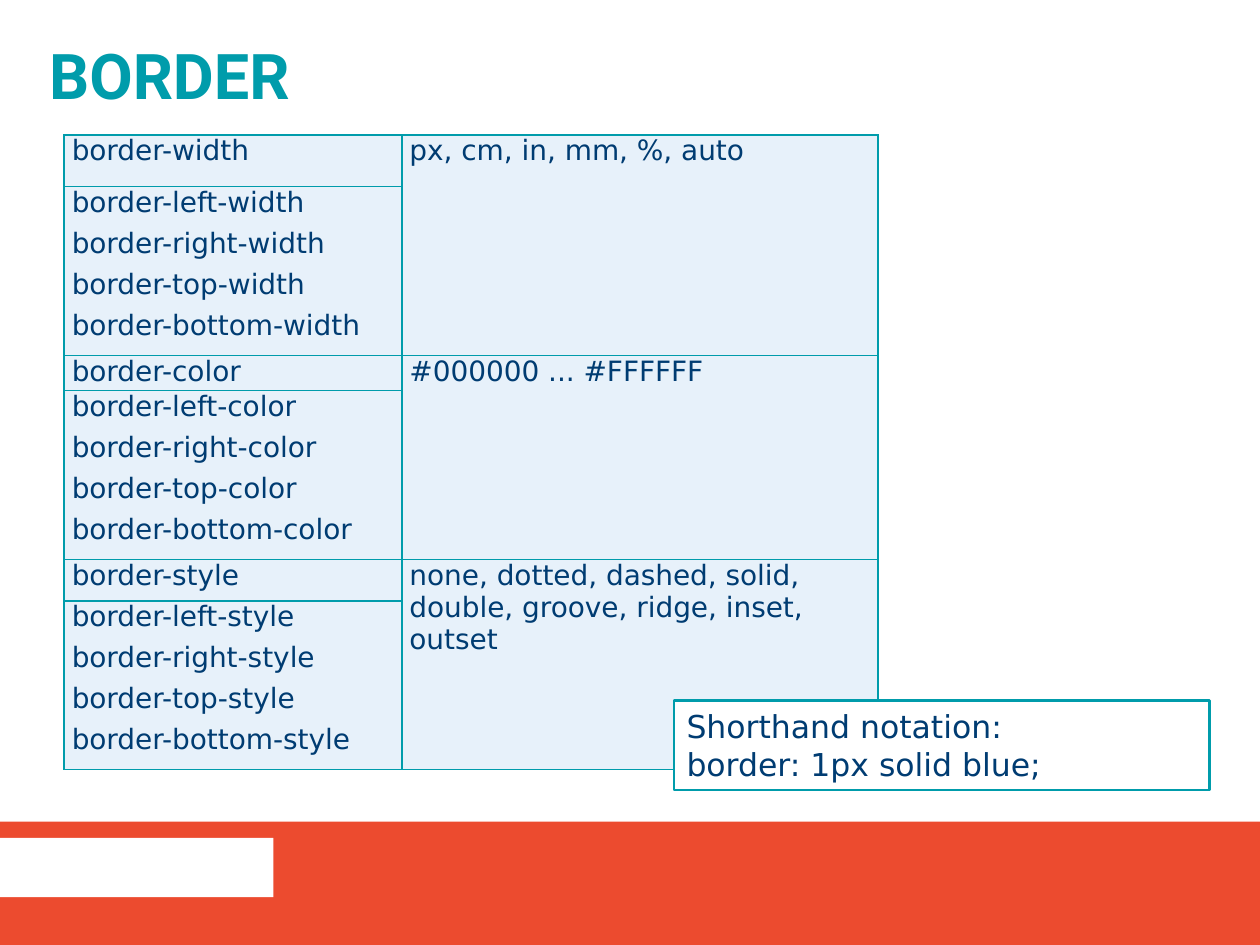
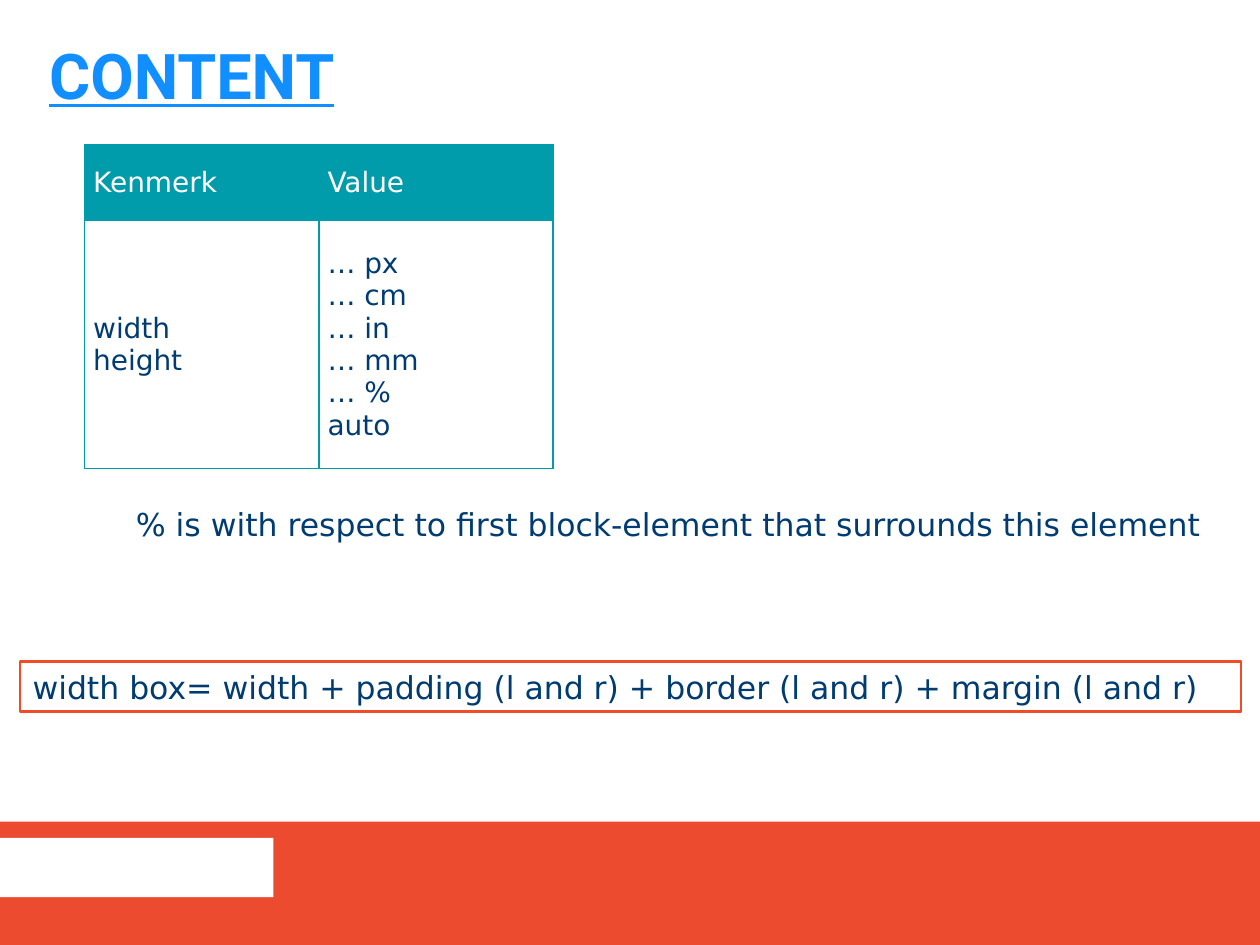
from dataclasses import dataclass

from lxml import etree
from pptx import Presentation
from pptx import util as u
from pptx.dml.color import RGBColor
from pptx.enum import shapes, text
from pptx.oxml.ns import qn


@dataclass(frozen=True)
class Theme:
    teal: str = "009CAB"
    navy: str = "003C72"
    orange: str = "EC4B2F"
    frame_orange: str = "F04C25"
    link_blue: str = "118EFF"
    pale_blue: str = "E7F1FA"
    white: str = "FFFFFF"
    title_font: str = "Roboto"
    body_font: str = "DejaVu Sans"
    title_size: int = 36
    note_size: int = 18
    table_size: int = 16


THEME = Theme()
SLIDE_WIDTH, SLIDE_HEIGHT = 10, 7.5
BORDER_SIDES = ("a:lnL", "a:lnR", "a:lnT", "a:lnB")


def write_text(frame, lines, size=THEME.note_size, color=THEME.navy,
               font=THEME.body_font, bold=False, underline=False, before=0,
               spacing=None, anchor=text.MSO_ANCHOR.TOP, wrap=True):
    frame.word_wrap = wrap
    frame.vertical_anchor = anchor
    for index, line in enumerate(lines):
        para = frame.paragraphs[0] if index == 0 else frame.add_paragraph()
        para.alignment = text.PP_ALIGN.LEFT
        para.space_before = u.Pt(before)
        if spacing:
            para.line_spacing = spacing
        span = para.add_run()
        span.text = line
        span.font.name = font
        span.font.size = u.Pt(size)
        span.font.bold = bold
        span.font.underline = underline
        span.font.color.rgb = RGBColor.from_string(color)


def set_margins(holder, sides):
    (holder.margin_left, holder.margin_top,
     holder.margin_right, holder.margin_bottom) = map(u.Inches, sides)


def add_rectangle(page, box, fill=None, line=None):
    shape = page.shapes.add_shape(shapes.MSO_SHAPE.RECTANGLE, *map(u.Inches, box))
    shape.shadow.inherit = False
    if fill:
        shape.fill.solid()
        shape.fill.fore_color.rgb = RGBColor.from_string(fill)
    else:
        shape.fill.background()
    if line:
        shape.line.color.rgb = RGBColor.from_string(line)
        shape.line.width = u.Pt(1.5)
    else:
        shape.line.fill.background()
    return shape


def add_footer(page, box):
    left, top, width, height = box
    add_rectangle(page, box, fill=THEME.orange)
    add_rectangle(page, (left, top + 0.13, 2.17, 0.47), fill=THEME.white)


def add_title(page, box, title, **style):
    frame = page.shapes.add_textbox(*map(u.Inches, box)).text_frame
    set_margins(frame, (0.39, 0.2, 0.39, 0.16))
    write_text(frame, [title], size=THEME.title_size, font=THEME.title_font,
               bold=True, spacing=0.8, anchor=text.MSO_ANCHOR.MIDDLE, **style)


def add_framed_note(page, box, lines, line, fill=None):
    shape = add_rectangle(page, box, fill=fill, line=line)
    write_text(shape.text_frame, lines)


def set_borders(cell):
    properties = cell._tc.get_or_add_tcPr()
    for index, side in enumerate(BORDER_SIDES):
        border = etree.Element(qn(side), w=str(u.Pt(1)))
        fill = etree.SubElement(border, qn("a:solidFill"))
        etree.SubElement(fill, qn("a:srgbClr"), val=THEME.teal)
        properties.insert(index, border)


def add_grid(page, box, column_widths, row_heights):
    frame = page.shapes.add_table(len(row_heights), len(column_widths),
                                  *map(u.Inches, box))
    table = frame.table
    table.first_row = table.horz_banding = False
    for column, width in zip(table.columns, column_widths):
        column.width = u.Inches(width)
    for row, height in zip(table.rows, row_heights):
        row.height = u.Inches(height)
    for cell in table.iter_cells():
        set_borders(cell)
    return table


def fill_cell(cell, lines, margins, fill=None, **style):
    if fill:
        cell.fill.solid()
        cell.fill.fore_color.rgb = RGBColor.from_string(fill)
    else:
        cell.fill.background()
    set_margins(cell, margins)
    anchor = style.pop("anchor", text.MSO_ANCHOR.TOP)
    write_text(cell.text_frame, lines, size=THEME.table_size, **style)
    cell.text_frame._txBody.bodyPr.attrib.clear()
    cell.vertical_anchor = anchor


def add_border_table(page, box):
    groups = [
        ("width", 0.41, "px, cm, in, mm, %, auto"),
        ("color", 0.28, "#000000 ... #FFFFFF"),
        ("style", 0.33, "none, dotted, dashed, solid, double, groove, "
                        "ridge, inset, outset"),
    ]
    heights = [height for _, first, _ in groups for height in (first, 1.34)]
    table = add_grid(page, box, (2.68, 3.78), heights)
    style = dict(margins=(0.06, 0, 0.06, 0), fill=THEME.pale_blue, before=5)
    for index, (feature, _, values) in enumerate(groups):
        top = 2 * index
        sides = [f"border-{side}-{feature}"
                 for side in ("left", "right", "top", "bottom")]
        table.cell(top, 1).merge(table.cell(top + 1, 1))
        fill_cell(table.cell(top, 0), [f"border-{feature}"], **style)
        fill_cell(table.cell(top + 1, 0), sides, **style)
        fill_cell(table.cell(top, 1), [values], **style)


def add_size_table(page, box):
    table = add_grid(page, box, (1.86, 1.86), (0.6, 1.97))
    units = [f"… {unit}" for unit in ("px", "cm", "in", "mm", "%")]
    rows = [
        ([["Kenmerk"], ["Value"]], THEME.teal, THEME.white),
        ([["width", "height"], units + ["auto"]], None, THEME.navy),
    ]
    for row, (contents, fill, color) in enumerate(rows):
        for column, lines in enumerate(contents):
            fill_cell(table.cell(row, column), lines, (0.07, 0.04, 0.07, 0.04),
                      fill=fill, color=color, anchor=text.MSO_ANCHOR.MIDDLE)


def add_page(deck, title, **title_style):
    page = deck.slides.add_slide(deck.slide_layouts[6])
    add_footer(page, (0, 6.52, SLIDE_WIDTH, 0.98))
    add_title(page, (0, 0, SLIDE_WIDTH, 1.25), title, **title_style)
    return page


def build_border_page(deck):
    page = add_page(deck, "BORDER", color=THEME.teal)
    add_border_table(page, (0.51, 1.07, 6.46, 5.04))
    add_framed_note(page, (5.35, 5.56, 4.25, 0.71),
                    ["Shorthand notation:", "border: 1px solid blue;"],
                    line=THEME.teal, fill=THEME.white)


def build_content_page(deck):
    page = add_page(deck, "CONTENT", color=THEME.link_blue, underline=True)
    add_size_table(page, (0.67, 1.15, 3.72, 2.57))
    add_framed_note(page, (0.16, 5.25, 9.69, 0.4),
                    ["width box= width + padding (l and r) + border (l and r)"
                     " + margin (l and r)"], line=THEME.frame_orange)
    remark = page.shapes.add_textbox(*map(u.Inches, (0.98, 3.96, 8.84, 0.4)))
    write_text(remark.text_frame,
               ["% is with respect to first block-element that surrounds"
                " this element"], wrap=False)


deck = Presentation()
deck.slide_width = u.Inches(SLIDE_WIDTH)
deck.slide_height = u.Inches(SLIDE_HEIGHT)
build_border_page(deck)
build_content_page(deck)
deck.save("out.pptx")
